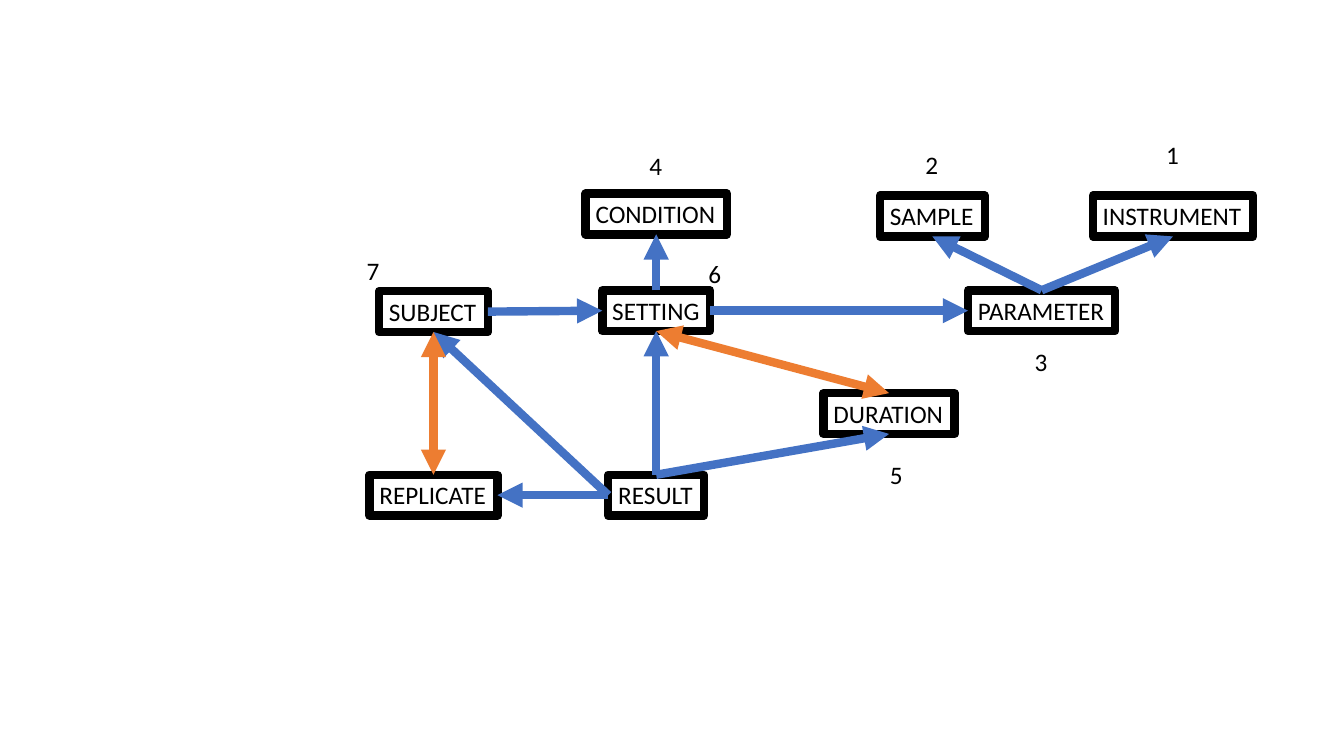
import dataclasses

import pptx
import pptx.dml.color
import pptx.enum.shapes
import pptx.enum.text
import pptx.oxml.ns
import pptx.util
from lxml import etree

COLUMNS, ROWS = 40, 25
TOP, LEFT, BOTTOM, RIGHT = range(4)  # connection sites of a rectangle


@dataclasses.dataclass(frozen=True)
class Theme:
    """Colours, type and line sizes of the slide."""
    ink: str = "000000"
    link: str = "4472C4"
    two_way: str = "ED7D31"
    font: str = "Calibri"
    text_size: int = 18
    line_width: int = 6


@dataclasses.dataclass(frozen=True)
class Box:
    """An area of the slide, with its grid cell size in EMU."""
    left: int
    top: int
    cell_width: float
    cell_height: float

    def place(self, centre, top, width, height):
        """Turn a centre column, top row and grid size into EMU lengths."""
        return [round(value) for value in (
            self.left + (centre - width / 2) * self.cell_width,
            self.top + top * self.cell_height,
            width * self.cell_width, height * self.cell_height)]


THEME = Theme()
ENTITY_HEIGHT = 1.35
# name: centre column, top row, width in columns
ENTITIES = {
    "DURATION": (16.46, 9, 3.9),
    "SAMPLE": (17.75, 2.47, 3.12),
    "PARAMETER": (21, 5.6, 4.38),
    "RESULT": (9.53, 11.7, 2.85),
    "CONDITION": (9.53, 2.4, 4.2),
    "SETTING": (9.53, 5.6, 3.21),
    "INSTRUMENT": (24.91, 2.47, 4.77),
    "SUBJECT": (2.9, 5.63, 3.24),
    "REPLICATE": (2.9, 11.7, 3.81),
}
# start entity and site, end entity and site
LINKS = [
    ("PARAMETER", TOP, "INSTRUMENT", BOTTOM),
    ("PARAMETER", TOP, "SAMPLE", BOTTOM),
    ("SETTING", RIGHT, "PARAMETER", LEFT),
    ("SETTING", TOP, "CONDITION", BOTTOM),
    ("SUBJECT", RIGHT, "SETTING", LEFT),
    ("RESULT", LEFT, "REPLICATE", RIGHT),
    ("RESULT", TOP, "SETTING", BOTTOM),
    ("RESULT", LEFT, "SUBJECT", BOTTOM),
    ("RESULT", TOP, "DURATION", BOTTOM),
]
TWO_WAY_LINKS = [
    ("REPLICATE", TOP, "SUBJECT", BOTTOM),
    ("DURATION", TOP, "SETTING", BOTTOM),
]
# centre column and top row of the numbers 1 to 7
NUMBERS = [(24.91, 0.43), (17.75, 0.77), (21, 7.3), (9.53, 0.8),
           (16.69, 11.03), (11.29, 4.37), (1.12, 4.27)]


def write_text(shape, text, size=THEME.text_size, color=THEME.ink, wrap=True):
    """Put one left-aligned paragraph of formatted text in a shape."""
    frame = shape.text_frame
    frame.word_wrap = wrap
    frame.vertical_anchor = pptx.enum.text.MSO_ANCHOR.TOP
    paragraph = frame.paragraphs[0]
    paragraph.alignment = pptx.enum.text.PP_ALIGN.LEFT
    run = paragraph.add_run()
    run.text = text
    run.font.name = THEME.font
    run.font.size = pptx.util.Pt(size)
    run.font.color.rgb = pptx.dml.color.RGBColor.from_string(color)


def style_line(shape, color, *details):
    """Set a thick solid line and append detail elements such as arrowheads."""
    shape.line.color.rgb = pptx.dml.color.RGBColor.from_string(color)
    shape.line.width = pptx.util.Pt(THEME.line_width)
    line = shape.line._get_or_add_ln()
    for tag, attributes in details:
        etree.SubElement(line, pptx.oxml.ns.qn(tag), attributes)


def add_entity(slide, box, name):
    """Draw one outlined, named entity and return it."""
    centre, top, width = ENTITIES[name]
    shape = slide.shapes.add_shape(
        pptx.enum.shapes.MSO_SHAPE.RECTANGLE,
        *box.place(centre, top, width, ENTITY_HEIGHT))
    shape.shadow.inherit = False
    shape.fill.background()
    style_line(shape, THEME.ink, ("a:round", {}))
    write_text(shape, name, wrap=False)
    return shape


def add_link(slide, start, start_site, end, end_site, color, two_way=False):
    """Join two entities with an arrow, pointing both ways if asked."""
    connector = slide.shapes.add_connector(
        pptx.enum.shapes.MSO_CONNECTOR.STRAIGHT, 0, 0, 0, 0)
    connector.begin_connect(start, start_site)
    connector.end_connect(end, end_site)
    ends = ("a:headEnd", "a:tailEnd") if two_way else ("a:tailEnd",)
    style_line(connector, color, *((tag, {"type": "triangle"}) for tag in ends))
    etree.SubElement(connector.element.spPr, pptx.oxml.ns.qn("a:effectLst"))


def add_diagram(slide, box):
    """Draw the entities, their links and the numbers in the given box."""
    entities = {name: add_entity(slide, box, name) for name in ENTITIES}
    for links, color, two_way in ((LINKS, THEME.link, False),
                                  (TWO_WAY_LINKS, THEME.two_way, True)):
        for start, start_site, end, end_site in links:
            add_link(slide, entities[start], start_site,
                     entities[end], end_site, color, two_way)
    for number, (centre, top) in enumerate(NUMBERS, 1):
        label = slide.shapes.add_textbox(
            *box.place(centre, top, 1, ENTITY_HEIGHT))
        write_text(label, str(number), wrap=False)


def main():
    """Build and save the presentation."""
    presentation = pptx.Presentation()
    presentation.slide_width = pptx.util.Inches(13.33)
    presentation.slide_height = pptx.util.Inches(7.5)
    slide = presentation.slides.add_slide(presentation.slide_layouts[6])
    cell_width = presentation.slide_width / COLUMNS
    cell_height = presentation.slide_height / ROWS
    add_diagram(slide, Box(round(10 * cell_width), round(4 * cell_height),
                           cell_width, cell_height))
    presentation.save("out.pptx")


main()
